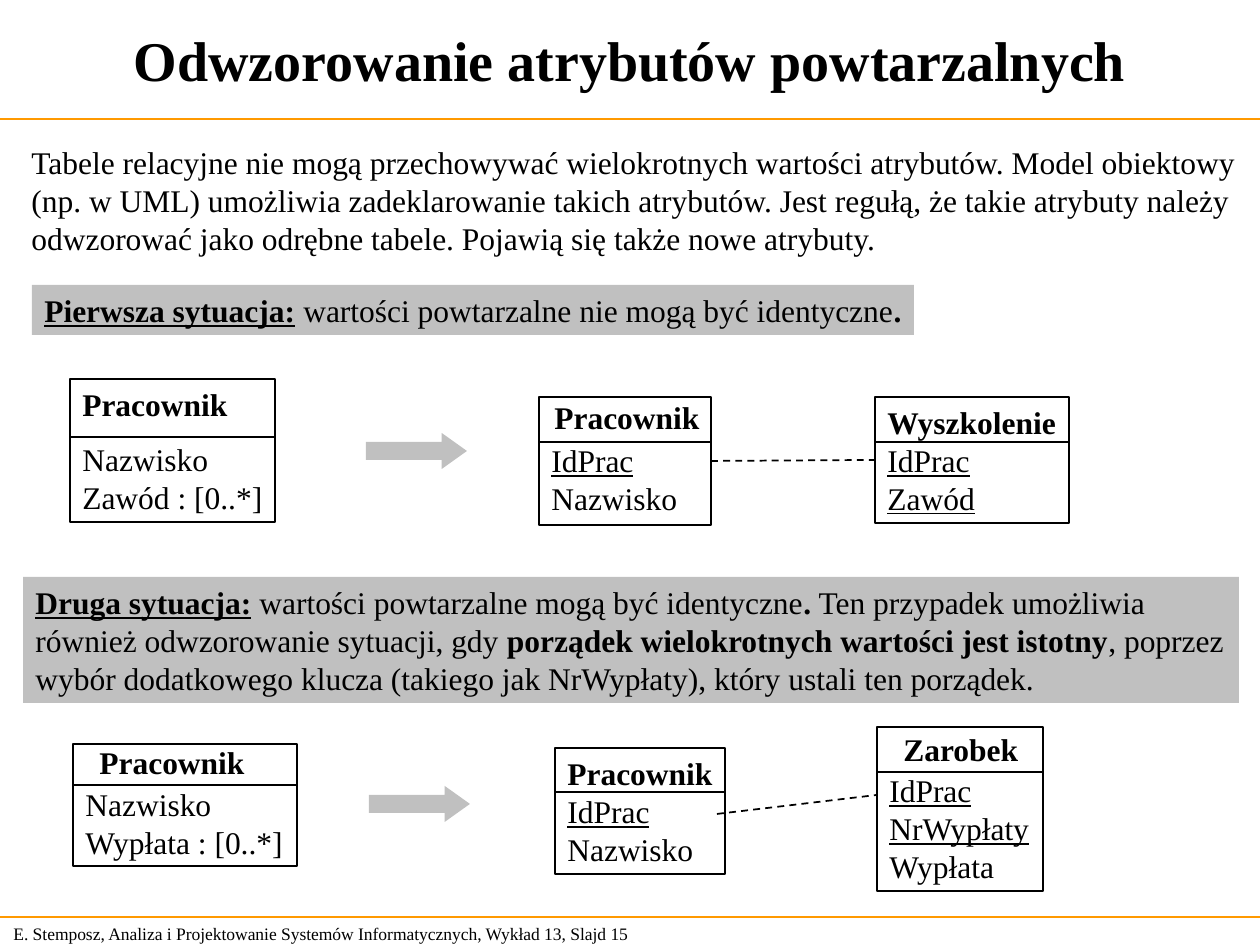
import pptx
import pptx.util
import pptx.dml.color
import pptx.enum.dml
import pptx.enum.shapes
import pptx.enum.text
import pptx.oxml.ns
import lxml.etree

PX = 914400 // 126
FONT = "Times New Roman"
COLORS = {"text": "000000", "rule": "FF9900", "gray": "C0C0C0"}
LINE_PITCH = 21.6

TITLE = "Odwzorowanie atrybutów powtarzalnych"
FOOTER = "E. Stemposz, Analiza i Projektowanie Systemów Informatycznych, Wykład 13, Slajd 15"
INTRO = (
    "Tabele relacyjne nie mogą przechowywać wielokrotnych wartości atrybutów. Model "
    "obiektowy (np. w UML) umożliwia zadeklarowanie takich atrybutów. Jest regułą, że takie "
    "atrybuty należy odwzorować jako odrębne tabele. Pojawią się także nowe atrybuty."
)
SITUATIONS = [
    ((32, 285, 882, 50), [
        ("Pierwsza sytuacja:", "bu"), (" ", "b"),
        ("wartości powtarzalne nie mogą być identyczne", ""), (".", "b")]),
    ((23, 577, 1216, 126), [
        ("Druga sytuacja:", "bu"), (" ", "b"),
        ("wartości powtarzalne mogą być identyczne", ""), (".", "b"),
        (" Ten przypadek umożliwia również odwzorowanie sytuacji, gdy ", ""),
        ("porządek wielokrotnych wartości jest istotny", "b"),
        (", poprzez wybór dodatkowego klucza (takiego jak NrWypłaty), "
         "który ustali ten porządek.", "")]),
]
ARROWS = [(366, 433, 101, 36), (369, 786, 101, 36)]

CLASSES = {
    "employee_jobs": dict(box=(70, 379, 205, 143), divider=437, heading="Pracownik", gap=17,
                          attributes=[("Nazwisko", ""), ("Zawód : [0..*]", "")]),
    "employee": dict(box=(539, 397, 172, 128), divider=442, heading="Pracownik",
                     heading_box=(542, 392, 170, 50), inset=44,
                     attributes=[("IdPrac", "u"), ("Nazwisko", "")]),
    "training": dict(box=(875, 397, 194, 126), divider=442, heading="Wyszkolenie",
                     attributes=[("IdPrac", "u"), ("Zawód", "u")]),
    "employee_pay": dict(box=(73, 744, 224, 122), divider=785, heading="Pracownik",
                         heading_box=(87, 737, 170, 50), inset=41,
                         attributes=[("Nazwisko", ""), ("Wypłata : [0..*]", "")]),
    "paid_employee": dict(box=(555, 748, 170, 126), divider=792, heading="Pracownik",
                          attributes=[("IdPrac", "u"), ("Nazwisko", "")]),
    "pay": dict(box=(877, 727, 166, 164), divider=772, heading="Zarobek",
                heading_box=(891, 724, 140, 50), inset=44,
                attributes=[("IdPrac", "u"), ("NrWypłaty", "u"), ("Wypłata", "")]),
}


def emu(lengths):
    return [length * PX for length in lengths]


def rgb(name):
    return pptx.dml.color.RGBColor.from_string(COLORS[name])


def style_run(run, style="", size=18):
    font = run.font
    font.name, font.size = FONT, pptx.util.Pt(size)
    font.color.rgb = rgb("text")
    font.bold, font.underline = "b" in style, "u" in style


def write(shape, paragraphs, inset=6, size=18, gap=0):
    frame = shape.text_frame
    frame.word_wrap = True
    frame.vertical_anchor = pptx.enum.text.MSO_ANCHOR.TOP
    frame.margin_top = inset * PX
    frame.margin_right = 0
    for index, pieces in enumerate(paragraphs):
        paragraph = frame.add_paragraph() if index else frame.paragraphs[0]
        paragraph.alignment = pptx.enum.text.PP_ALIGN.LEFT
        paragraph.line_spacing = pptx.util.Pt(LINE_PITCH * size / 18)
        if index == 1 and gap:
            paragraph.space_before = gap * PX
        for text, style in pieces:
            run = paragraph.add_run()
            run.text = text
            style_run(run, style, size)


def add_text(slide, box, paragraphs, **options):
    write(slide.shapes.add_textbox(*emu(box)), paragraphs, **options)


def add_block(slide, box, kind="RECTANGLE", filled=True):
    block = slide.shapes.add_shape(pptx.enum.shapes.MSO_SHAPE[kind], *emu(box))
    block.shadow.inherit = False
    if filled:
        block.fill.solid()
        block.fill.fore_color.rgb = rgb("gray")
        block.line.fill.background()
    else:
        block.fill.background()
        block.line.color.rgb = rgb("text")
        block.line.width = pptx.util.Pt(1)
    return block


def add_line(slide, ends, color="text", width=1, dashed=False):
    line = slide.shapes.add_connector(pptx.enum.shapes.MSO_CONNECTOR.STRAIGHT, *emu(ends))
    line.line.color.rgb = rgb(color)
    line.line.width = pptx.util.Pt(width)
    if dashed:
        line.line.dash_style = pptx.enum.dml.MSO_LINE.DASH
    lxml.etree.SubElement(line._element.spPr, pptx.oxml.ns.qn("a:effectLst"))
    return line


def add_class(slide, box, divider, heading, attributes, heading_box=None, inset=6, gap=0):
    frame = add_block(slide, box, filled=False)
    title = [[(heading, "b")]]
    rows = [[attribute] for attribute in attributes]
    write(frame, rows if heading_box else title + rows, inset=inset, gap=gap)
    left, _, width, _ = box
    add_line(slide, (left, divider, left + width, divider))
    if heading_box:
        add_text(slide, heading_box, title)
    return frame


def main():
    deck = pptx.Presentation()
    deck.slide_width, deck.slide_height = pptx.util.Inches(10), pptx.util.Inches(7.5)
    slide = deck.slides.add_slide(deck.slide_layouts[5])

    title = slide.shapes.title
    title.left, title.top, title.width, title.height = emu((0, 1, 1260, 116))
    title.text_frame.text = TITLE
    title.text_frame.vertical_anchor = pptx.enum.text.MSO_ANCHOR.MIDDLE
    title.text_frame.paragraphs[0].alignment = pptx.enum.text.PP_ALIGN.CENTER
    style_run(title.text_frame.paragraphs[0].runs[0], "b", 32)

    for rule_y in (119, 917):
        add_line(slide, (0, rule_y, 1260, rule_y), "rule", 0.75)
    add_text(slide, (1, 917, 660, 34), [[(FOOTER, "")]], size=10)
    add_text(slide, (19, 137, 1220, 126), [[(INTRO, "")]])
    for box, pieces in SITUATIONS:
        write(add_block(slide, box), [pieces])
    for box in ARROWS:
        arrow = add_block(slide, box, "RIGHT_ARROW")
        arrow.adjustments[0], arrow.adjustments[1] = 0.5, 0.7

    frames = {name: add_class(slide, **content) for name, content in CLASSES.items()}
    training_link = add_line(slide, (711, 460, 875, 460), dashed=True)
    training_link.begin_connect(frames["employee"], 3)
    training_link.end_connect(frames["training"], 1)
    add_line(slide, (717, 814, 877, 795), dashed=True)

    deck.save("out.pptx")


if __name__ == "__main__":
    main()
